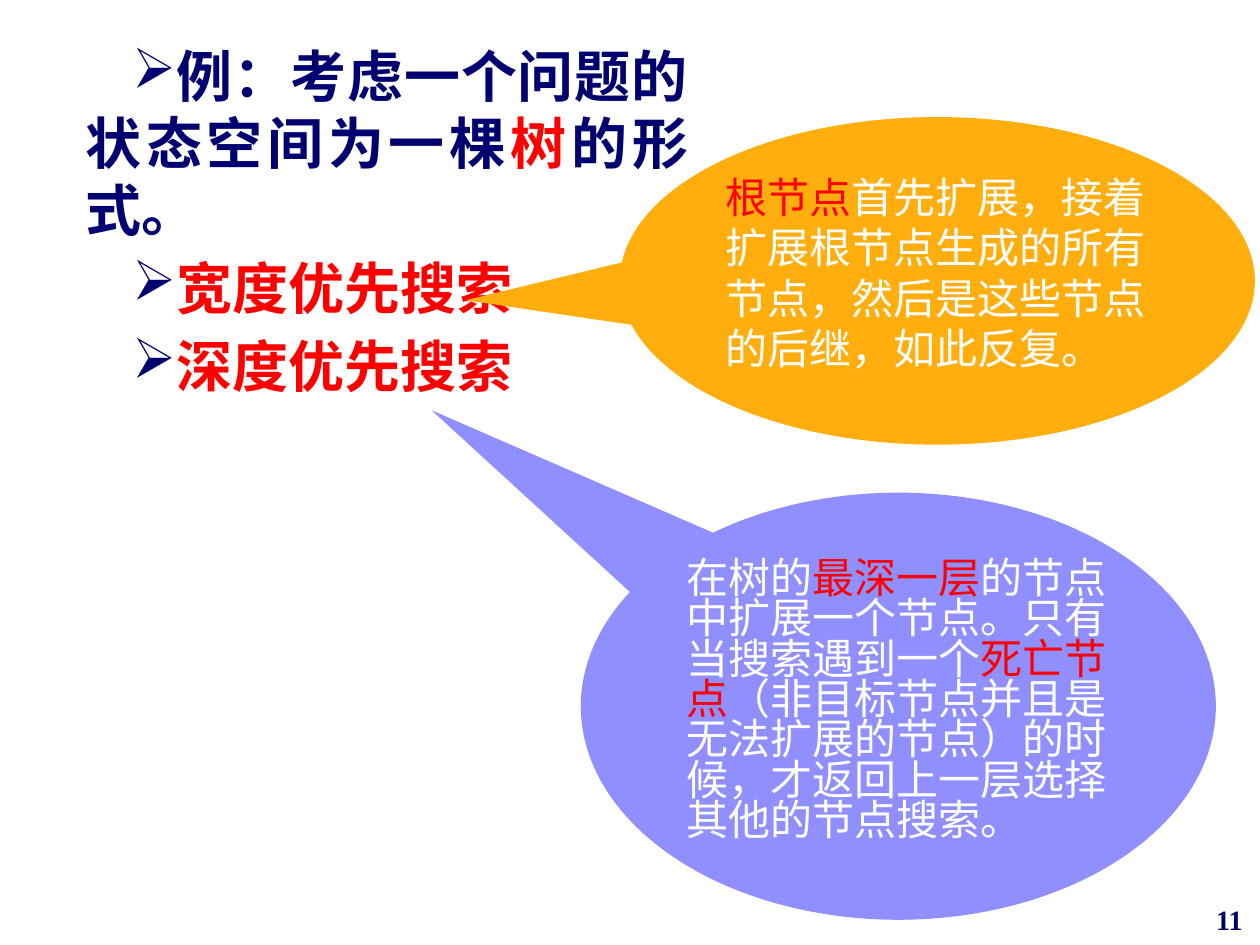
"""Build a slide on breadth-first and depth-first tree search."""
from lxml.etree import SubElement
from pptx import Presentation
from pptx.dml.color import RGBColor
from pptx.enum.shapes import MSO_SHAPE
from pptx.enum.text import MSO_ANCHOR, PP_ALIGN
from pptx.oxml.ns import qn
from pptx.util import Pt

NAVY = RGBColor(0x00, 0x00, 0x70)
PAGE_NAVY = RGBColor(0x00, 0x00, 0x66)
RED = RGBColor(0xFF, 0x00, 0x00)
WHITE = RGBColor(0xFF, 0xFF, 0xFF)
ORANGE = RGBColor(0xFF, 0xAE, 0x0D)
VIOLET = RGBColor(0x8F, 0x8F, 0xFF)
CJK_FONT = "Noto Sans CJK SC"
PAGE_FONT = "Times New Roman"

OUTLINE = [
    [("例：考虑一个问题的状态空间为一棵", NAVY), ("树", RED), ("的形式。", NAVY)],
    [("宽度优先搜索", RED)],
    [("深度优先搜索", RED)],
]
CALLOUTS = [
    {
        "box": (354.24, 66.96, 362.88, 187.2),
        "pointer": (-0.743, 0.059),
        "fill": ORANGE,
        "spacing": 1.0,
        "runs": [
            ("根节点", RED),
            ("首先扩展，接着扩展根节点生成的所有节点，然后是这些节点的后继，如此反复。", WHITE),
        ],
    },
    {
        "box": (331.92, 281.52, 362.88, 244.08),
        "pointer": (-0.735, -0.693),
        "fill": VIOLET,
        "spacing": 0.8,
        "runs": [
            ("在树的", WHITE),
            ("最深一层", RED),
            ("的节点中扩展一个节点。只有当搜索遇到一个", WHITE),
            ("死亡节点", RED),
            ("（非目标节点并且是无法扩展的节点）的时候，才返回上一层选择其他的节点搜索。", WHITE),
        ],
    },
]


def add_runs(paragraph, runs, size, font=CJK_FONT, bold=False):
    """Append coloured runs that share one font."""
    for text, color in runs:
        run = paragraph.add_run()
        run.text = text
        run.font.size = Pt(size)
        run.font.name = font
        run.font.bold = bold
        run.font.color.rgb = color
        SubElement(run.font._element, qn("a:ea"), typeface=font)


def add_bullet(paragraph):
    """Give the paragraph a navy arrow bullet and a first-line indent."""
    properties = paragraph._p.get_or_add_pPr()
    properties.set("marL", str(Pt(27.36)))
    properties.set("indent", str(Pt(26.64)))
    color = SubElement(properties, qn("a:buClr"))
    SubElement(color, qn("a:srgbClr"), val=str(NAVY))
    SubElement(properties, qn("a:buChar"), char="➢")


def add_text_box(slide, box):
    """Add a wrapping text box and return its text frame."""
    text_frame = slide.shapes.add_textbox(*map(Pt, box)).text_frame
    text_frame.word_wrap = True
    return text_frame


def add_outline(slide):
    """Add the bulleted outline."""
    text_frame = add_text_box(slide, (14.4, 20.16, 385.92, 324))
    for index, runs in enumerate(OUTLINE):
        paragraph = text_frame.add_paragraph() if index else text_frame.paragraphs[0]
        add_bullet(paragraph)
        paragraph.alignment = PP_ALIGN.JUSTIFY
        if index:
            paragraph.space_before = Pt(6)
        add_runs(paragraph, runs, 32, bold=True)


def add_callout(slide, callout):
    """Add one elliptical callout."""
    shape = slide.shapes.add_shape(
        MSO_SHAPE.OVAL_CALLOUT, *map(Pt, callout["box"]))
    for index, value in enumerate(callout["pointer"]):
        shape.adjustments[index] = value
    shape.shadow.inherit = False
    shape.fill.solid()
    shape.fill.fore_color.rgb = callout["fill"]
    shape.line.fill.background()
    shape.text_frame.word_wrap = True
    shape.text_frame.vertical_anchor = MSO_ANCHOR.TOP
    paragraph = shape.text_frame.paragraphs[0]
    paragraph.alignment = PP_ALIGN.LEFT
    paragraph.line_spacing = callout["spacing"]
    add_runs(paragraph, callout["runs"], 24)


def add_page_number(slide):
    """Add the page number in the bottom right corner."""
    paragraph = add_text_box(slide, (567.36, 511.92, 149.76, 28.08)).paragraphs[0]
    paragraph.alignment = PP_ALIGN.RIGHT
    add_runs(paragraph, [("11", PAGE_NAVY)], 16, PAGE_FONT, True)


def main():
    """Build and save the presentation."""
    presentation = Presentation()
    presentation.slide_width, presentation.slide_height = Pt(720), Pt(540)
    slide = presentation.slides.add_slide(presentation.slide_layouts[6])
    add_outline(slide)
    for callout in CALLOUTS:
        add_callout(slide, callout)
    add_page_number(slide)
    presentation.save("out.pptx")


if __name__ == "__main__":
    main()
